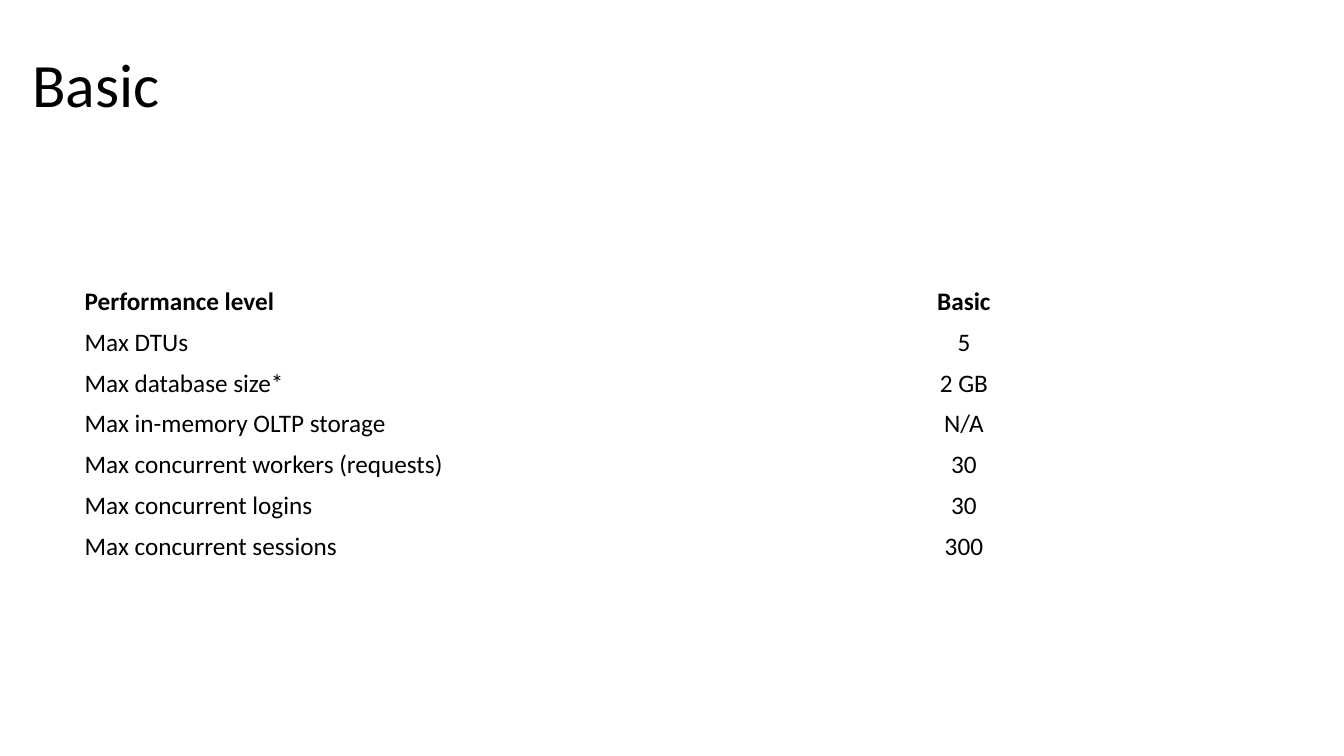
from pptx import Presentation
from pptx.dml.color import RGBColor
from pptx.enum.text import MSO_ANCHOR, PP_ALIGN
from pptx.util import Inches, Pt

MIDDLE = MSO_ANCHOR.MIDDLE
LEFT, CENTER = PP_ALIGN.LEFT, PP_ALIGN.CENTER
TITLE_ONLY = 5
FONT = "Calibri"
BLACK = "000000"

LIMITS = [
    ("Performance level", "Basic"),
    ("Max DTUs", "5"),
    ("Max database size*", "2 GB"),
    ("Max in-memory OLTP storage", "N/A"),
    ("Max concurrent workers (requests)", "30"),
    ("Max concurrent logins", "30"),
    ("Max concurrent sessions", "300"),
]


def color(hex_code):
    return RGBColor.from_string(hex_code)


def write(frame, text, size, align=LEFT, bold=False):
    paragraph = frame.paragraphs[0]
    paragraph.alignment = align
    run = paragraph.add_run()
    run.text = text
    run.font.name = FONT
    run.font.size = Pt(size)
    run.font.bold = bold
    run.font.color.rgb = color(BLACK)
    return paragraph


def add_title(slide, text, left, top, width, height):
    title = slide.shapes.title
    title.left, title.top = Inches(left), Inches(top)
    title.width, title.height = Inches(width), Inches(height)
    title.text_frame.vertical_anchor = MIDDLE
    title.text_frame.word_wrap = True
    write(title.text_frame, text, 44).line_spacing = 0.9


def add_limits_table(slide, rows, left, top, width, height):
    limits = slide.shapes.add_table(
        len(rows), len(rows[0]),
        Inches(left), Inches(top), Inches(width), Inches(height),
    ).table
    # Plain table: no header or banding style
    limits.first_row = False
    limits.horz_banding = False
    for row, values in enumerate(rows):
        for column, value in enumerate(values):
            cell = limits.cell(row, column)
            cell.fill.background()
            cell.vertical_anchor = MIDDLE
            write(cell.text_frame, value, 18,
                  align=CENTER if column else LEFT, bold=row == 0)
    # Remove the style that draws cell borders
    properties = limits._tbl.tblPr
    for style in list(properties):
        style.text = "{2D5ABB26-0587-4C30-8999-92F81FD0307C}"


def main():
    prs = Presentation()
    prs.slide_width, prs.slide_height = Inches(13.33), Inches(7.5)
    slide = prs.slides.add_slide(prs.slide_layouts[TITLE_ONLY])
    add_title(slide, "Basic", 0.22, 0.39, 12.88, 0.96)
    add_limits_table(slide, LIMITS, 0.74, 2.79, 11.76, 2.8)
    prs.save("out.pptx")


if __name__ == "__main__":
    main()
